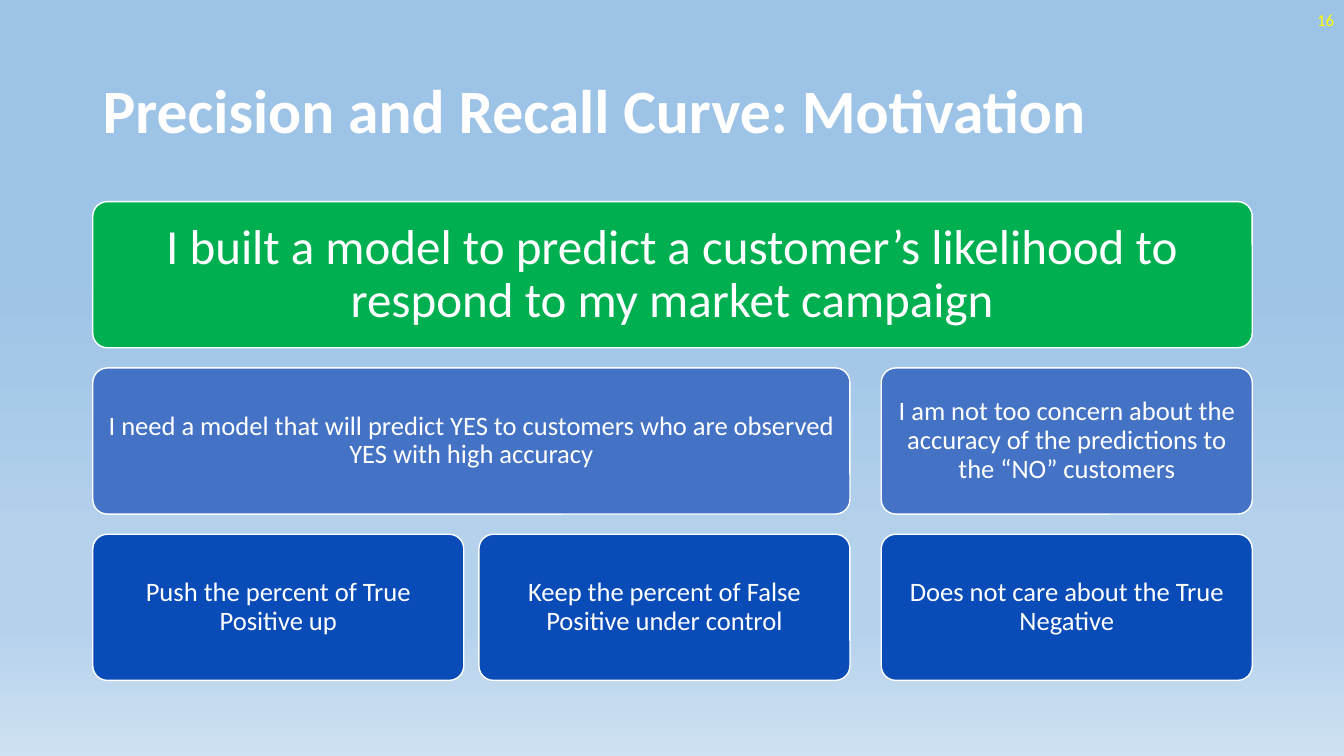
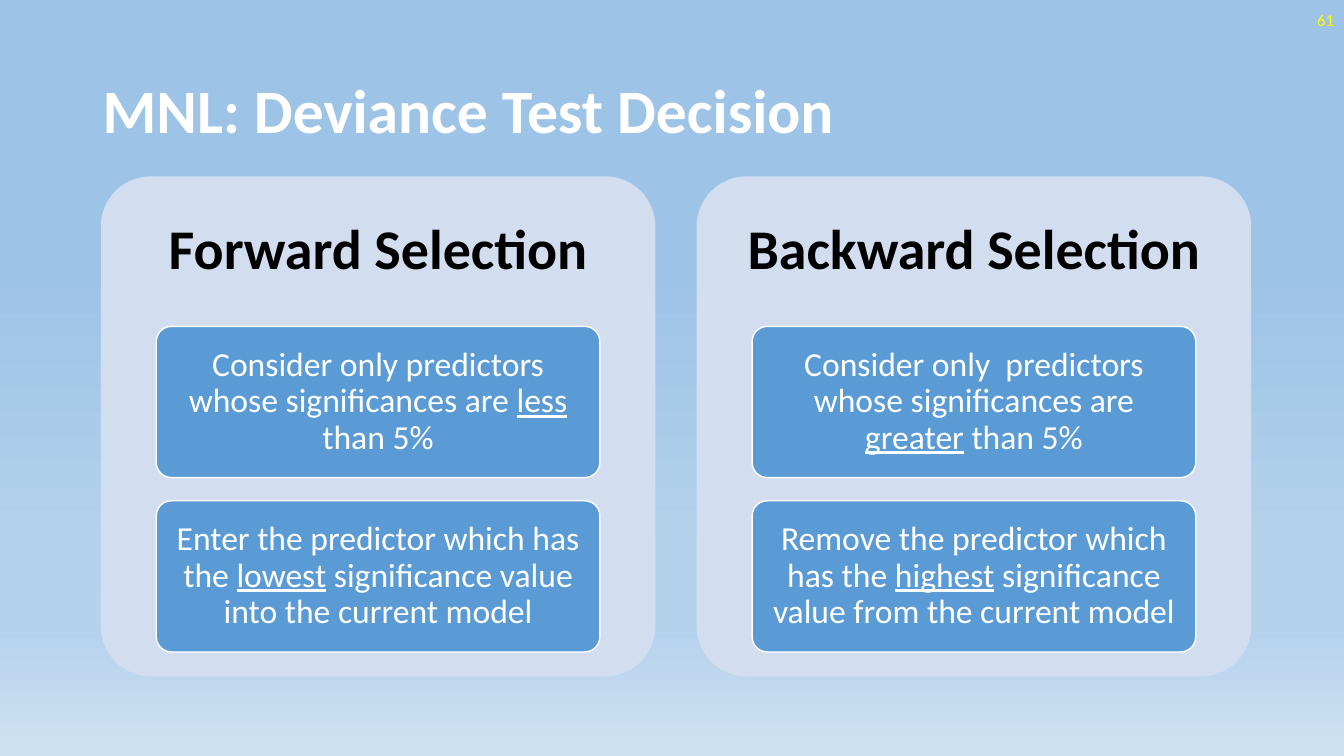
from lxml import etree
from pptx import Presentation
from pptx.dml.color import RGBColor
from pptx.enum.shapes import MSO_SHAPE
from pptx.enum.text import MSO_ANCHOR, PP_ALIGN
from pptx.oxml.ns import qn
from pptx.util import Inches, Pt

ROUND = MSO_SHAPE.ROUNDED_RECTANGLE
MIDDLE = MSO_ANCHOR.MIDDLE
LEFT, CENTER, RIGHT = PP_ALIGN.LEFT, PP_ALIGN.CENTER, PP_ALIGN.RIGHT
FONT = "Calibri"
WHITE, BLACK, YELLOW = "FFFFFF", "000000", "FFFF00"
GREEN, BLUE, NAVY = "00B050", "4472C4", "094BB7"
SKY, PALE = "5B9BD5", "D2DEEF"
STOPS = [(35, "9DC3E6"), (74, "B5D2EC"), (83, "B5D2EC"), (100, "CEE1F2")]
EDGE, SPAN = 0.92, 11.5  # left margin and content width
hue = RGBColor.from_string


def write(shape, runs, size, color=WHITE, bold=False, align=CENTER, pad=(0.1, 0.05), lead=0.9):
    """Fill a shape with one paragraph; every second run is underlined."""
    frame = shape.text_frame
    frame.word_wrap = True
    frame.vertical_anchor = MIDDLE
    frame.margin_left = frame.margin_right = Inches(pad[0])
    frame.margin_top = frame.margin_bottom = Inches(pad[1])
    para = frame.paragraphs[0]
    para.alignment = align
    para.line_spacing = lead
    for i, text in enumerate(runs):
        run = para.add_run()
        run.text = text
        font = run.font
        font.name, font.size, font.bold = FONT, Pt(size), bold
        font.color.rgb = hue(color)
        font.underline = i % 2 == 1


def card(slide, x, y, w, h, fill, line=WHITE):
    """Draw a rounded box."""
    box = slide.shapes.add_shape(ROUND, Inches(x), Inches(y), Inches(w), Inches(h))
    box.shadow.inherit = False
    box.adjustments[0] = 0.1
    box.fill.solid()
    box.fill.fore_color.rgb = hue(fill)
    if line:
        box.line.color.rgb = hue(line)
        box.line.width = Pt(1)
    else:
        box.line.fill.background()
    return box


deck = Presentation()
deck.slide_width, deck.slide_height = Inches(13.33), Inches(7.5)

# Shared background on the master
master = deck.slide_master
back = master.background.fill
back.gradient()
back.gradient_angle = 270
stops = master.element.find(".//" + qn("a:gsLst"))
for old in list(stops):
    stops.remove(old)
for share, color in STOPS:
    stop = etree.SubElement(stops, qn("a:gs"), pos=str(share * 1000))
    etree.SubElement(stop, qn("a:srgbClr"), val=color)

# Slides with title and page number
slides = []
for title, page in [("Precision and Recall Curve: Motivation", "16"),
                    ("MNL: Deviance Test Decision", "61")]:
    slide = deck.slides.add_slide(deck.slide_layouts[6])
    slides.append(slide)
    box = slide.shapes.add_textbox(Inches(EDGE), Inches(0.4), Inches(SPAN), Inches(1.45))
    write(box, [title], 44, bold=True, align=LEFT)
    box = slide.shapes.add_textbox(Inches(10.33), 0, Inches(3), Inches(0.4))
    write(box, [page], 12, YELLOW, align=RIGHT, lead=1.0)
first, second = slides

# Slide 1: three rows of cards on a three-column grid
COL, ROW, GAP = 3.68, 1.45, 0.15
COLS = [EDGE, EDGE + COL + GAP, EDGE + SPAN - COL]
PAIR = 2 * COL + GAP
TREE = [
    (0, 0, SPAN, GREEN, 35, "I built a model to predict a customer’s likelihood to respond to my market campaign"),
    (1, 0, PAIR, BLUE, 19, "I need a model that will predict YES to customers who are observed YES with high accuracy"),
    (1, 2, COL, BLUE, 19, "I am not too concern about the accuracy of the predictions to the “NO” customers"),
    (2, 0, COL, NAVY, 19, "Push the percent of True Positive up"),
    (2, 1, COL, NAVY, 19, "Keep the percent of False Positive under control"),
    (2, 2, COL, NAVY, 19, "Does not care about the True Negative"),
]
for row, col, wide, fill, size, text in TREE:
    box = card(first, COLS[col], 2 + row * (ROW + 0.2), wide, ROW, fill)
    write(box, [text], size, pad=(0.08, 0.08))

# Slide 2: two panels, each with a heading and two steps
PANEL, TOP, TALL = 5.5, 1.75, 4.96
HEAD = 0.3 * TALL
STEP = 0.8 * PANEL
PANELS = [
    ("Forward Selection", [
        ["Consider only predictors whose significances are ", "less", " than 5%"],
        ["Enter the predictor which has the ", "lowest", " significance value into the current model"],
    ]),
    ("Backward Selection", [
        ["Consider only  predictors whose significances are ", "greater", " than 5%"],
        ["Remove the predictor which has the ", "highest", " significance value from the current model"],
    ]),
]
for i, (head, steps) in enumerate(PANELS):
    x = 1 + i * (PANEL + 0.41)
    card(second, x, TOP, PANEL, TALL, PALE, line=None)
    box = second.shapes.add_textbox(Inches(x), Inches(TOP), Inches(PANEL), Inches(HEAD))
    write(box, [head], 40, BLACK, bold=True, pad=(0.17, 0.17))
    for j, runs in enumerate(steps):
        box = card(second, x + (PANEL - STEP) / 2, TOP + HEAD + j * 1.73, STEP, 1.5, SKY)
        write(box, runs, 24, pad=(0.07, 0.05))

deck.save("out.pptx")
